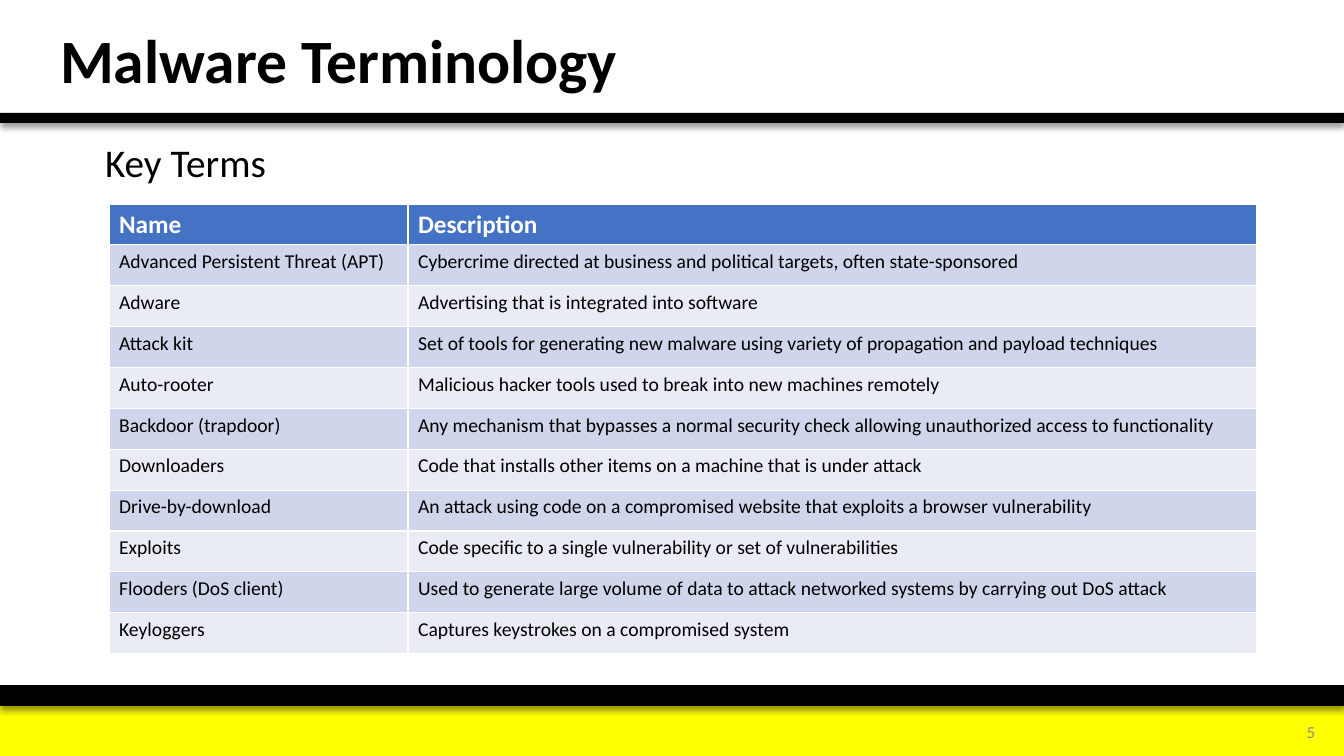
from lxml import etree
from pptx import Presentation
from pptx import util as u
from pptx.dml.color import RGBColor
from pptx.enum import shapes, text
from pptx.oxml.ns import qn

PX = 914400 / 100.8  # EMU in one px
COLORS = {
    "black": "000000", "white": "FFFFFF", "yellow": "FFFF00", "grey": "8C8C8C",
    "header": "4472C4", "odd_row": "CFD5EA", "even_row": "E9EBF5",
}
TERMS = [
    ("Name", "Description"),
    ("Advanced Persistent Threat (APT)",
     "Cybercrime directed at business and political targets, often state-sponsored"),
    ("Adware", "Advertising that is integrated into software"),
    ("Attack kit",
     "Set of tools for generating new malware using variety of propagation and payload techniques"),
    ("Auto-rooter", "Malicious hacker tools used to break into new machines remotely"),
    ("Backdoor (trapdoor)",
     "Any mechanism that bypasses a normal security check allowing unauthorized access to functionality"),
    ("Downloaders", "Code that installs other items on a machine that is under attack"),
    ("Drive-by-download",
     "An attack using code on a compromised website that exploits a browser vulnerability"),
    ("Exploits", "Code specific to a single vulnerability or set of vulnerabilities"),
    ("Flooders (DoS client)",
     "Used to generate large volume of data to attack networked systems by carrying out DoS attack"),
    ("Keyloggers", "Captures keystrokes on a compromised system"),
]


def emu(*lengths):
    return [u.Emu(round(length * PX)) for length in lengths]


def rgb(name):
    return RGBColor.from_string(COLORS[name])


def apply(target, **values):
    for name, value in values.items():
        setattr(target, name, value)


class SlideBuilder:
    font_name = "Calibri"

    def __init__(self, presentation):
        self.slide = presentation.slides.add_slide(presentation.slide_layouts[1])

    def add_words(self, frame, words, size, color, bold=False, **paragraph_format):
        paragraph = frame.paragraphs[0]
        apply(paragraph, **paragraph_format)
        run = paragraph.add_run()
        run.text = words
        apply(run.font, name=self.font_name, size=u.Pt(size), bold=bold)
        run.font.color.rgb = rgb(color)

    def bar(self, top, height, color, shadow=False):
        shape = self.slide.shapes.add_shape(
            shapes.MSO_SHAPE.RECTANGLE, *emu(0, top, 1344, height))
        shape.shadow.inherit = False
        shape.fill.solid()
        shape.fill.fore_color.rgb = rgb(color)
        shape.line.fill.background()
        if shadow:
            effects = shape._element.spPr.find(qn("a:effectLst"))
            outer = etree.SubElement(
                effects, qn("a:outerShdw"), blurRad=str(u.Pt(4)), dist=str(u.Pt(3)),
                dir="5400000", algn="t", rotWithShape="0")
            shade = etree.SubElement(outer, qn("a:srgbClr"), val=COLORS["black"])
            etree.SubElement(shade, qn("a:alpha"), val="40000")

    def placeholder(self, index, box, words, size, anchor, bold=False):
        shape = self.slide.placeholders[index]
        apply(shape, **dict(zip(("left", "top", "width", "height"), emu(*box))))
        frame = shape.text_frame
        apply(frame, vertical_anchor=anchor, word_wrap=True,
              auto_size=text.MSO_AUTO_SIZE.NONE)
        properties = frame.paragraphs[0]._p.get_or_add_pPr()
        properties.set("marL", "0")
        properties.set("indent", "0")
        etree.SubElement(properties, qn("a:buNone"))
        self.add_words(frame, words, size, "black", bold, line_spacing=0.9,
                       space_before=u.Pt(0), alignment=text.PP_ALIGN.LEFT)

    def label(self, box, words, size, color):
        frame = self.slide.shapes.add_textbox(*emu(*box)).text_frame
        apply(frame, word_wrap=True, vertical_anchor=text.MSO_ANCHOR.MIDDLE)
        self.add_words(frame, words, size, color, alignment=text.PP_ALIGN.RIGHT)

    def table(self, box, widths, rows):
        table = self.slide.shapes.add_table(len(rows), len(widths), *emu(*box)).table
        for column, width in zip(table.columns, emu(*widths)):
            column.width = width
        for i, row in enumerate(rows):
            fill = "header" if i == 0 else "odd_row" if i % 2 else "even_row"
            style = (18, "white", True) if i == 0 else (14, "black", False)
            for j, words in enumerate(row):
                cell = table.cell(i, j)
                cell.fill.solid()
                cell.fill.fore_color.rgb = rgb(fill)
                self.add_words(cell.text_frame, words, *style)


def main():
    presentation = Presentation()
    presentation.slide_width, presentation.slide_height = emu(1344, 756)
    builder = SlideBuilder(presentation)

    # Footer and header bars
    builder.bar(706, 50, "yellow")
    builder.bar(685, 21, "black", shadow=True)
    builder.bar(113, 10, "black", shadow=True)
    builder.label((1248, 712, 77, 40), "5", 12, "grey")

    # Title and subtitle
    builder.placeholder(0, (50, 7, 907, 113), "Malware Terminology", 44,
                        text.MSO_ANCHOR.MIDDLE, bold=True)
    builder.placeholder(1, (95, 139, 1159, 67), "Key Terms", 28, text.MSO_ANCHOR.TOP)

    # Key terms
    builder.table((109, 204, 1148, 450), (299, 849), TERMS)

    presentation.save("out.pptx")


if __name__ == "__main__":
    main()
